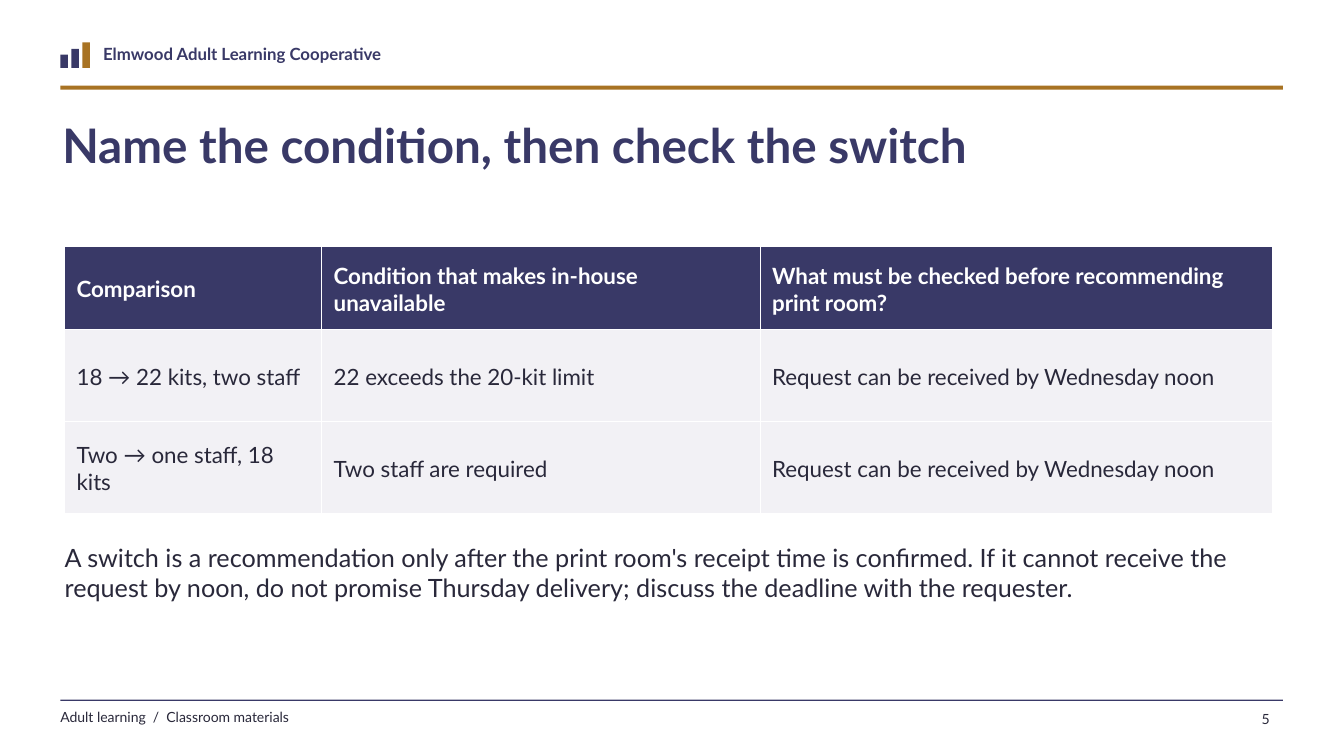
from dataclasses import dataclass

from pptx import Presentation
from pptx.dml.color import RGBColor
from pptx.enum.shapes import MSO_SHAPE
from pptx.enum.text import MSO_ANCHOR, PP_ALIGN
from pptx.util import Cm, Pt

RECTANGLE = MSO_SHAPE.RECTANGLE
MIDDLE = MSO_ANCHOR.MIDDLE
LEFT, RIGHT = PP_ALIGN.LEFT, PP_ALIGN.RIGHT

FONT = "Lato"
INDIGO, OCHRE, INK = "393967", "A87323", "29283A"
PALE, WHITE = "F2F1F5", "FFFFFF"

COLUMN_WIDTHS = (6.48, 11.05, 12.9)
ROW_HEIGHTS = (2.08, 2.32, 2.33)
COMPARISONS = (
    ("Comparison", "Condition that makes in-house unavailable",
     "What must be checked before recommending print room?"),
    ("18 → 22 kits, two staff", "22 exceeds the 20-kit limit",
     "Request can be received by Wednesday noon"),
    ("Two → one staff, 18 kits", "Two staff are required",
     "Request can be received by Wednesday noon"),
)


@dataclass
class Box:
    """A region of the page, in centimetres."""
    left: float
    top: float
    width: float
    height: float

    def inner(self, left, top, width, height):
        """Return a box placed relative to this one."""
        return Box(self.left + left, self.top + top, width, height)

    def lengths(self):
        return [Cm(value) for value in (self.left, self.top, self.width, self.height)]


def color(hex_string):
    return RGBColor.from_string(hex_string)


def style_paragraph(para, size, hex_string, bold=False):
    for span in para.runs:
        span.font.name = FONT
        span.font.size = Pt(size)
        span.font.bold = bold
        span.font.color.rgb = color(hex_string)


def add_text(page, box, text, size, hex_string, bold=False, align=LEFT):
    frame = page.shapes.add_textbox(*box.lengths()).text_frame
    frame.word_wrap = True
    frame.margin_left = frame.margin_top = frame.margin_right = frame.margin_bottom = 0
    para = frame.paragraphs[0]
    para.text = text
    para.alignment = align
    style_paragraph(para, size, hex_string, bold)


def add_bar(page, box, hex_string):
    """Add a filled rectangle without outline or shadow."""
    bar = page.shapes.add_shape(RECTANGLE, *box.lengths())
    bar.shadow.inherit = False
    bar.fill.solid()
    bar.fill.fore_color.rgb = color(hex_string)
    bar.line.fill.background()


def add_header(page, box):
    base, pitch, bar_width = 0.64, 0.28, 0.19
    for index, (height, shade) in enumerate(((0.33, INDIGO), (0.48, INDIGO), (0.64, OCHRE))):
        add_bar(page, box.inner(index * pitch, base - height, bar_width, height), shade)
    add_text(page, box.inner(1.08, 0.03, 15.24, 0.71),
             "Elmwood Adult Learning Cooperative", 12, INDIGO, bold=True)
    add_bar(page, box.inner(0, box.height - 0.1, box.width, 0.1), OCHRE)


def add_comparison_table(page, box):
    table = page.shapes.add_table(
        len(ROW_HEIGHTS), len(COLUMN_WIDTHS), *box.lengths()).table
    table.horz_banding = False
    for column, width in zip(table.columns, COLUMN_WIDTHS):
        column.width = Cm(width)
    for row_index, (row, texts) in enumerate(zip(table.rows, COMPARISONS)):
        row.height = Cm(ROW_HEIGHTS[row_index])
        heading = row_index == 0
        for cell, text in zip(row.cells, texts):
            cell.fill.solid()
            cell.fill.fore_color.rgb = color(INDIGO if heading else PALE)
            cell.vertical_anchor = MIDDLE
            cell.margin_left = cell.margin_right = Cm(0.3)
            cell.margin_top, cell.margin_bottom = Cm(0.2), Cm(0.15)
            cell.text_frame.text = text
            style_paragraph(cell.text_frame.paragraphs[0], 16,
                            WHITE if heading else INK, bold=heading)


def add_footer(page, box, number):
    add_bar(page, box.inner(0, 0, box.width, 0.03), INDIGO)
    add_text(page, box.inner(0, 0.23, 17.78, 0.58),
             "Adult learning  /  Classroom materials", 10, INK)
    add_text(page, box.inner(box.width - 1.6, 0.28, 1.27, 0.63),
             number, 10, INK, align=RIGHT)


def main():
    deck = Presentation()
    deck.slide_width, deck.slide_height = Cm(33.87), Cm(19.05)
    page = deck.slides.add_slide(deck.slide_layouts[6])
    page.background.fill.solid()
    page.background.fill.fore_color.rgb = color(WHITE)

    add_header(page, Box(1.52, 1.07, 30.81, 1.19))
    add_text(page, Box(1.57, 2.92, 30.48, 2.67),
             "Name the condition, then check the switch", 34, INDIGO, bold=True)
    add_comparison_table(page, Box(1.63, 6.22, sum(COLUMN_WIDTHS), sum(ROW_HEIGHTS)))
    add_text(page, Box(1.63, 13.67, 30.43, 2.67),
             "A switch is a recommendation only after the print room's receipt time is "
             "confirmed. If it cannot receive the request by noon, do not promise Thursday "
             "delivery; discuss the deadline with the requester.", 18, INK)
    add_footer(page, Box(1.52, 17.63, 30.81, 0.91), "5")
    deck.save("out.pptx")


if __name__ == "__main__":
    main()
